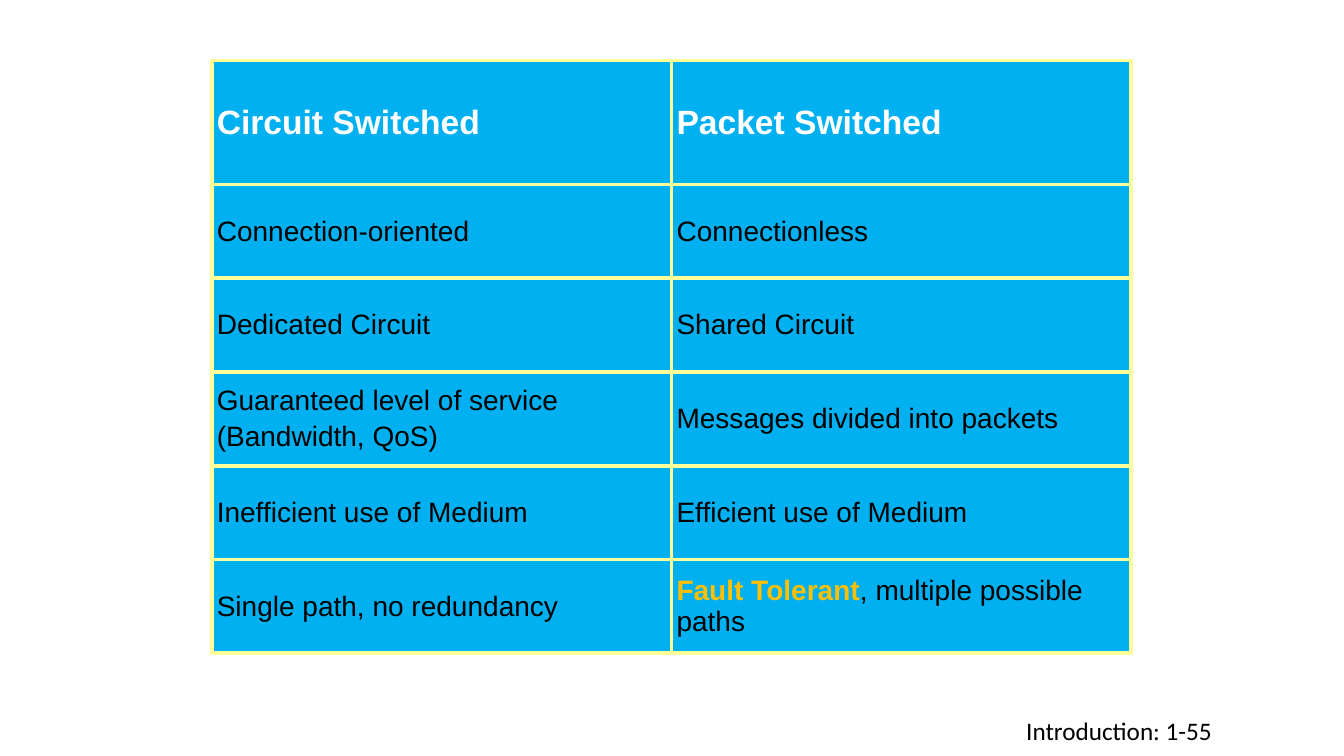
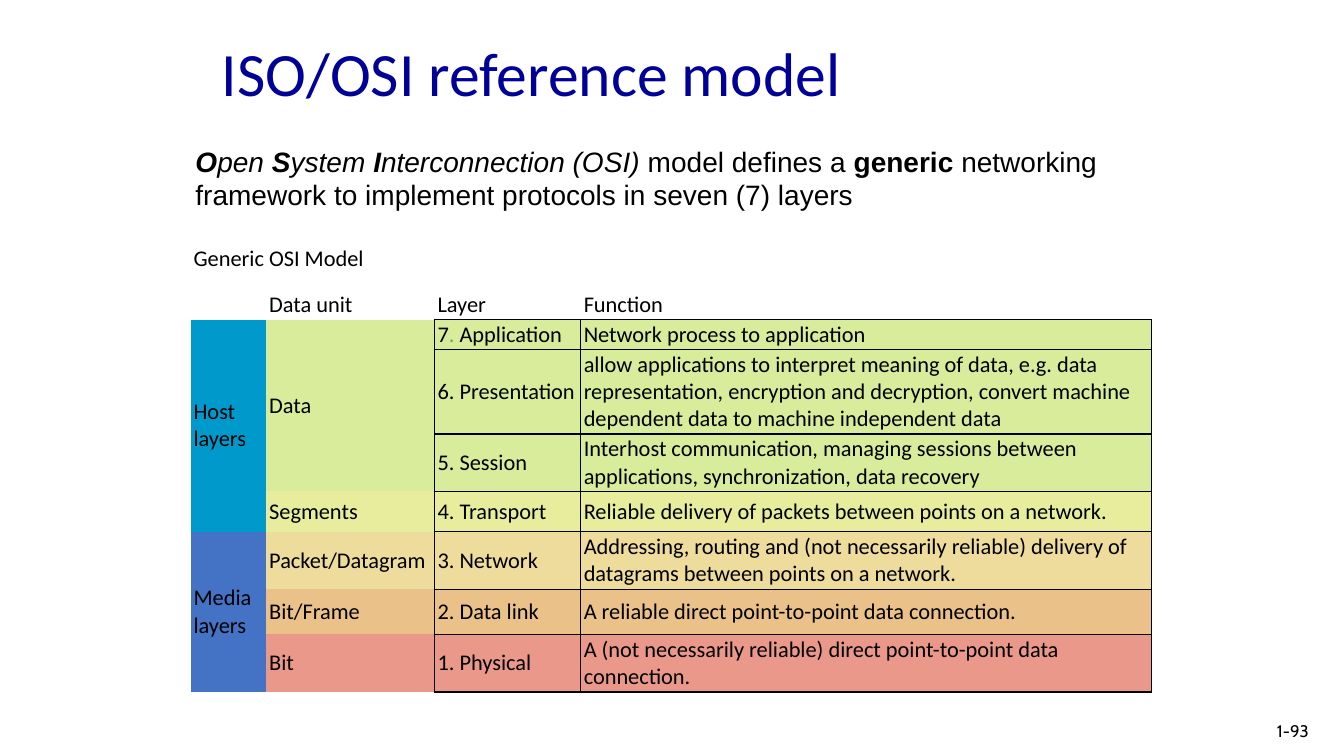
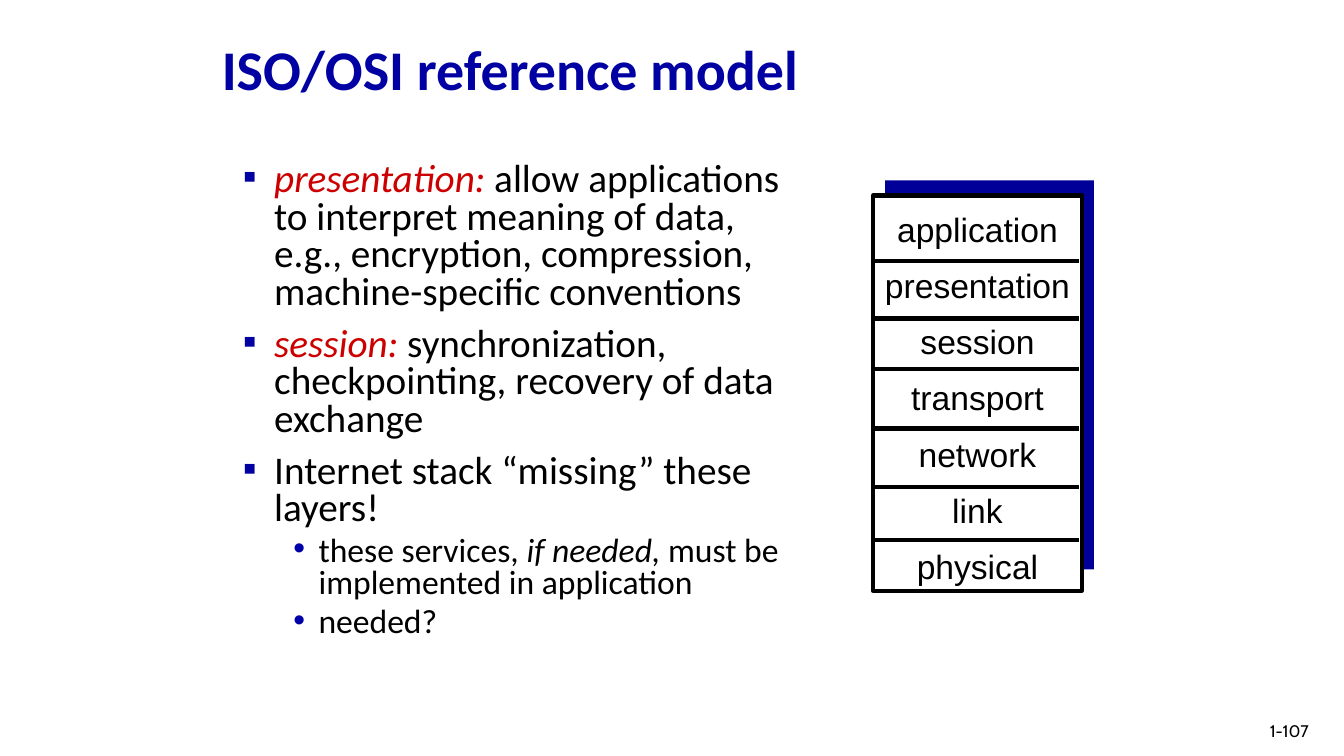
from dataclasses import dataclass
from typing import Optional, Sequence, Union

from lxml import etree
from pptx import Presentation
from pptx.dml.color import RGBColor
from pptx.enum import shapes, text
from pptx.oxml import ns
from pptx.util import Inches, Pt

BLACK = RGBColor(0x00, 0x00, 0x00)
WHITE = RGBColor(0xFF, 0xFF, 0xFF)
NAVY = RGBColor(0x00, 0x00, 0x99)
TITLE_BLUE = RGBColor(0x00, 0x00, 0xA3)
SUB_BLUE = RGBColor(0x00, 0x00, 0xA8)
RED = RGBColor(0xCC, 0x00, 0x00)
SKY = RGBColor(0x00, 0xB0, 0xF0)
CREAM = RGBColor(0xFF, 0xFF, 0x99)
GOLD = RGBColor(0xFF, 0xC0, 0x00)
DOT_GREEN = RGBColor(0x70, 0xAD, 0x47)
HOST = RGBColor(0x00, 0x99, 0xCC)
MEDIA = RGBColor(0x44, 0x72, 0xC4)
LIME = RGBColor(0xD8, 0xEC, 0x9C)
YELLOW = RGBColor(0xE7, 0xED, 0x9C)
SAND = RGBColor(0xED, 0xDC, 0x9C)
ORANGE = RGBColor(0xE9, 0xC1, 0x89)
SALMON = RGBColor(0xE9, 0x98, 0x8A)

SIDES = "LRTB"
LEFT, CENTER, RIGHT = text.PP_ALIGN.LEFT, text.PP_ALIGN.CENTER, text.PP_ALIGN.RIGHT
TOP, MIDDLE = text.MSO_ANCHOR.TOP, text.MSO_ANCHOR.MIDDLE


@dataclass(frozen=True)
class Run:
    text: str
    color: Optional[RGBColor] = None
    bold: Optional[bool] = None
    italic: Optional[bool] = None


Content = Union[str, Sequence[Run]]


@dataclass(frozen=True)
class Layer:
    group: Content
    unit: str
    name: Content
    function: str
    fill: RGBColor
    height: float


@dataclass(frozen=True)
class Bullet:
    content: Content
    sub: bool = False


def write(p, content: Content, *, font: str = "Calibri", size: float = 16,
          color: RGBColor = BLACK, bold: bool = False, italic: bool = False,
          align=LEFT, before: float = 0, line: float = 1.0) -> None:
    p.alignment = align
    p.space_before = Pt(before)
    p.line_spacing = line
    for part in [Run(content)] if isinstance(content, str) else content:
        if part.text == "\n":
            p.add_line_break()
            continue
        r = p.add_run()
        r.text = part.text
        r.font.name = font
        r.font.size = Pt(size)
        r.font.color.rgb = part.color or color
        r.font.bold = bold if part.bold is None else part.bold
        r.font.italic = italic if part.italic is None else part.italic


def paragraphs(tf, count: int) -> list:
    return [tf.paragraphs[0]] + [tf.add_paragraph() for _ in range(count - 1)]


def place(sp, left: float, top: float, width: float, height: float, anchor=TOP):
    sp.left, sp.top = Inches(left), Inches(top)
    sp.width, sp.height = Inches(width), Inches(height)
    tf = sp.text_frame
    tf.word_wrap = True
    tf.auto_size = text.MSO_AUTO_SIZE.NONE
    tf.vertical_anchor = anchor
    return tf


def add_box(s, left: float, top: float, width: float, height: float, anchor=TOP):
    return place(s.shapes.add_textbox(0, 0, 0, 0), left, top, width, height, anchor)


def add_title(s, **fmt) -> None:
    tf = place(s.shapes.title, 2.1, 0.09, 7.11, 1.25, MIDDLE)
    write(tf.paragraphs[0], "ISO/OSI reference model", **fmt)


def add_page(s, label: str, anchor=MIDDLE, **fmt) -> None:
    style = dict(font="Cabin", size=12, align=RIGHT) | fmt
    write(add_box(s, 10.08, 7.05, 3, 0.4, anchor).paragraphs[0], label, **style)


def add_table(s, left: float, top: float, cols: Sequence[float], rows: Sequence[float]):
    frame = s.shapes.add_table(len(rows), len(cols), Inches(left), Inches(top),
                               Inches(sum(cols)), Inches(sum(rows)))
    table = frame.table
    table.first_row = table.horz_banding = False
    for col, width in zip(table.columns, cols):
        col.width = Inches(width)
    for row, height in zip(table.rows, rows):
        row.height = Inches(height)
    return table


def style_cell(cell, fill: Optional[RGBColor], margin_x: float, margin_y: float,
               sides: str, color: RGBColor, width: float) -> None:
    cell.vertical_anchor = MIDDLE
    cell.margin_left = cell.margin_right = Inches(margin_x)
    cell.margin_top = cell.margin_bottom = Inches(margin_y)
    if fill is None:
        cell.fill.background()
    else:
        cell.fill.solid()
        cell.fill.fore_color.rgb = fill
    tc_pr = cell._tc.get_or_add_tcPr()
    for i, side in enumerate(SIDES):
        ln = etree.Element(ns.qn(f"a:ln{side}"), w=str(Pt(width)))
        if side in sides:
            solid = etree.SubElement(ln, ns.qn("a:solidFill"))
            etree.SubElement(solid, ns.qn("a:srgbClr"), val=str(color))
        else:
            etree.SubElement(ln, ns.qn("a:noFill"))
        tc_pr.insert(i, ln)


def set_bullet(p, char: str, color: RGBColor, left: float, hang: float) -> None:
    p_pr = p._p.get_or_add_pPr()
    p_pr.set("marL", str(Inches(left)))
    p_pr.set("indent", str(-Inches(hang)))
    bu_clr = etree.SubElement(p_pr, ns.qn("a:buClr"))
    etree.SubElement(bu_clr, ns.qn("a:srgbClr"), val=str(color))
    etree.SubElement(p_pr, ns.qn("a:buFont"), typeface="Arial")
    etree.SubElement(p_pr, ns.qn("a:buChar"), char=char)


def add_rect(s, left: float, top: float, width: float, height: float,
             fill: RGBColor, outline: Optional[RGBColor] = None) -> None:
    sp = s.shapes.add_shape(shapes.MSO_SHAPE.RECTANGLE, Inches(left), Inches(top),
                            Inches(width), Inches(height))
    sp.shadow.inherit = False
    sp.fill.solid()
    sp.fill.fore_color.rgb = fill
    if outline is None:
        sp.line.fill.background()
    else:
        sp.line.color.rgb = outline
        sp.line.width = Pt(3)


def add_divider(s, left: float, right: float, y: float) -> None:
    line = s.shapes.add_connector(shapes.MSO_CONNECTOR.STRAIGHT, Inches(left), Inches(y),
                                  Inches(right), Inches(y))
    line.line.color.rgb = BLACK
    line.line.width = Pt(3)
    etree.SubElement(line._element.spPr, ns.qn("a:effectLst"))


SWITCHING = [
    (["Circuit Switched"], ["Packet Switched"]),
    (["Connection-oriented"], ["Connectionless"]),
    (["Dedicated Circuit"], ["Shared Circuit"]),
    (["Guaranteed level of service", "(Bandwidth, QoS)"], ["Messages divided into packets"]),
    (["Inefficient use of Medium"], ["Efficient use of Medium"]),
    (["Single path, no redundancy"],
     [[Run("Fault Tolerant", color=GOLD, bold=True), Run(", multiple possible paths")]]),
]

OSI_INTRO = [
    Run("O", bold=True, italic=True), Run("pen ", italic=True),
    Run("S", bold=True, italic=True), Run("ystem ", italic=True),
    Run("I", bold=True, italic=True), Run("nterconnection (OSI)", italic=True),
    Run(" model defines a "), Run("generic", bold=True),
    Run(" networking framework to implement protocols in seven (7) layers"),
]

LAYERS = [
    Layer([Run("Host"), Run("\n"), Run("layers")], "Data",
          [Run("7"), Run(". ", color=DOT_GREEN), Run("Application")],
          "Network process to application", LIME, 0.3),
    Layer("", "", "6. Presentation",
          "allow applications to interpret meaning of data, e.g. data representation, "
          "encryption and decryption, convert machine dependent data to machine "
          "independent data", LIME, 0.83),
    Layer("", "", "5. Session",
          "Interhost communication, managing sessions between applications, "
          "synchronization, data recovery", LIME, 0.57),
    Layer("", "Segments", "4. Transport",
          "Reliable delivery of packets between points on a network.", YELLOW, 0.4),
    Layer([Run("Media"), Run("\n"), Run("layers")], "Packet/Datagram", "3. Network",
          "Addressing, routing and (not necessarily reliable) delivery of datagrams "
          "between points on a network.", SAND, 0.57),
    Layer("", "Bit/Frame", "2. Data link",
          "A reliable direct point-to-point data connection.", ORANGE, 0.45),
    Layer("", "Bit", "1. Physical",
          "A (not necessarily reliable) direct point-to-point data connection.", SALMON, 0.57),
]
HOST_ROWS = 4

BULLETS = [
    Bullet([Run("presentation:", color=RED, italic=True),
            Run(" allow applications to interpret meaning of data, e.g., encryption, "
                "compression, machine-specific conventions")]),
    Bullet([Run("session:", color=RED, italic=True),
            Run(" synchronization, checkpointing, recovery of data exchange")]),
    Bullet("Internet stack “missing” these layers!"),
    Bullet([Run("these services, "), Run("if needed,", italic=True),
            Run(" must be implemented in application")], sub=True),
    Bullet("needed?", sub=True),
]

STACK = ["application", "presentation", "session", "transport", "network", "link", "physical"]
DIVIDERS = [2.59, 3.16, 3.66, 4.25, 4.83, 5.36]


def build_switching(prs) -> None:
    s = prs.slides.add_slide(prs.slide_layouts[6])
    table = add_table(s, 2.1, 0.6, [4.56] * 2, [1.23] + [0.93] * 5)
    for i, row in enumerate(SWITCHING):
        fmt = dict(size=20) if i else dict(size=24, color=WHITE, bold=True)
        for j, lines in enumerate(row):
            cell = table.cell(i, j)
            style_cell(cell, SKY, 0.05, 0.05, SIDES, CREAM, 3)
            for k, p in enumerate(paragraphs(cell.text_frame, len(lines))):
                write(p, lines[k], font="Arial", before=3 if k else 0, **fmt)
    add_page(s, "Introduction: 1-55", TOP, font="Calibri", size=18, align=LEFT)


def osi_borders(row: int, col: int) -> str:
    if row > 1:
        return ("", "R", SIDES, SIDES)[col]
    return "B" if row == 1 and col > 1 else ""


def osi_fill(row: int, col: int) -> Optional[RGBColor]:
    if row < 2:
        return None
    if col == 0:
        return HOST if row - 2 < HOST_ROWS else MEDIA
    return LAYERS[row - 2].fill


def build_osi_table(prs) -> None:
    s = prs.slides.add_slide(prs.slide_layouts[5])
    add_page(s, "1-93")
    add_title(s, size=44, color=NAVY)
    write(add_box(s, 1.84, 1.38, 9.6, 0.77).paragraphs[0], OSI_INTRO, font="Arial", size=20)
    table = add_table(s, 1.89, 2.27, [0.75, 1.67, 1.45, 5.66],
                      [0.6, 0.3] + [layer.height for layer in LAYERS])
    rows = [("Generic OSI Model", "", "", ""), ("", "Data unit", "Layer", "Function")]
    rows += [(la.group, la.unit, la.name, la.function) for la in LAYERS]
    for i, row in enumerate(rows):
        for j, content in enumerate(row):
            cell = table.cell(i, j)
            style_cell(cell, osi_fill(i, j), 0.03, 0.01, osi_borders(i, j), BLACK, 1)
            p = cell.text_frame.paragraphs[0]
            if content:
                write(p, content)
            else:
                etree.SubElement(p._p, ns.qn("a:endParaRPr"), sz="1600")
    last_host = 1 + HOST_ROWS
    for first, last in [((0, 0), (0, 3)), ((2, 0), (last_host, 0)),
                        ((2, 1), (4, 1)), ((last_host + 1, 0), (len(rows) - 1, 0))]:
        table.cell(*first).merge(table.cell(*last))


def build_osi_stack(prs) -> None:
    s = prs.slides.add_slide(prs.slide_layouts[1])
    add_rect(s, 8.78, 1.79, 2.07, 3.86, NAVY)
    add_title(s, size=40, color=TITLE_BLUE, bold=True, line=0.9)
    tf = place(s.placeholders[1], 2.31, 1.56, 5.64, 5.08)
    for i, (p, b) in enumerate(zip(paragraphs(tf, len(BULLETS)), BULLETS)):
        if b.sub:
            p.level = 1
            set_bullet(p, "•", SUB_BLUE, 0.75, 0.25)
        else:
            set_bullet(p, "▪", TITLE_BLUE, 0.31, 0.31)
        gap = 5 if b.sub else 10
        write(p, b.content, size=24 if b.sub else 28, before=gap if i else 0, line=0.8)
    add_rect(s, 8.66, 1.94, 2.07, 3.92, WHITE, BLACK)
    tf = add_box(s, 8.61, 2.13, 2.17, 3.78)
    for i, (p, name) in enumerate(zip(paragraphs(tf, len(STACK)), STACK)):
        write(p, name, font="Arial", size=24, align=CENTER, before=20 if i else 0, line=0.7)
    for y in DIVIDERS:
        add_divider(s, 8.65, 10.7, y)
    add_page(s, "1-107")


def main() -> None:
    prs = Presentation()
    prs.slide_width, prs.slide_height = Inches(13.33), Inches(7.5)
    build_switching(prs)
    build_osi_table(prs)
    build_osi_stack(prs)
    prs.save("out.pptx")


if __name__ == "__main__":
    main()
